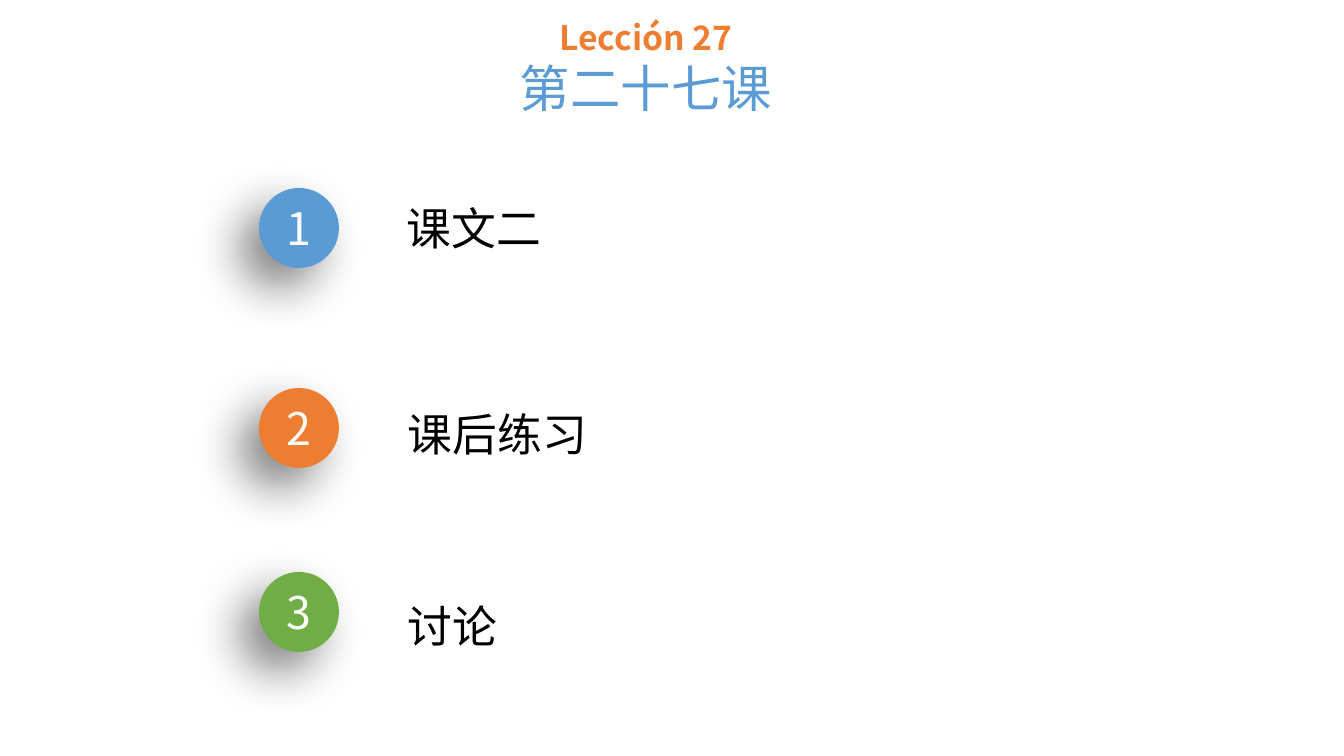
from lxml import etree
from pptx import Presentation
from pptx.dml.color import RGBColor
from pptx.enum.shapes import MSO_SHAPE
from pptx.enum.text import MSO_ANCHOR, PP_ALIGN
from pptx.oxml import parse_xml
from pptx.oxml.ns import qn
from pptx.util import Emu, Pt

OVAL = MSO_SHAPE.OVAL
MIDDLE = MSO_ANCHOR.MIDDLE
LEFT, CENTER = PP_ALIGN.LEFT, PP_ALIGN.CENTER
PX = 914400 / 100.8
NOTO = "Noto Sans CJK SC"
BLUE, ORANGE, GREEN = "5B9BD5", "ED7D31", "70AD47"
SHADOW = """<a:effectLst xmlns:a="http://schemas.openxmlformats.org/drawingml/2006/main">
<a:outerShdw blurRad="444500" dist="254000" dir="8100000" algn="tr" rotWithShape="0">
<a:srgbClr val="000000"><a:alpha val="50000"/></a:srgbClr></a:outerShdw></a:effectLst>"""


def px(*nums):
    return [Emu(round(n * PX)) for n in nums]


def write(para, text, size=32, font="Calibri", color="000000", bold=False, align=LEFT):
    para.alignment = align
    run = para.add_run()
    run.text = text
    run.font.size = Pt(size)
    run.font.name = font
    run.font.bold = bold
    run.font.color.rgb = RGBColor.from_string(color)
    etree.SubElement(run.font._element, qn("a:ea")).set("typeface", font)


prs = Presentation()
prs.slide_width, prs.slide_height = px(1344, 756)
slide = prs.slides.add_slide(prs.slide_layouts[6])

title = slide.shapes.add_textbox(*px(156, 12, 980, 112)).text_frame
title.word_wrap = True
write(title.paragraphs[0], "Lección 27", size=24, font=NOTO, color=ORANGE, bold=True, align=CENTER)
write(title.add_paragraph(), "第二十七课", size=36, font="Arial", color=BLUE, align=CENTER)

items = [
    ("课文二", BLUE, 188, 397, 196, 532),
    ("课后练习", ORANGE, 388, 398, 402, 202),
    ("讨论", GREEN, 572, 398, 594, 111),
]
for num, (label, color, top, left, line, width) in enumerate(items, 1):
    disc = slide.shapes.add_shape(OVAL, *px(259, top, 80, 80))
    disc.fill.solid()
    disc.fill.fore_color.rgb = RGBColor.from_string(color)
    disc.line.fill.background()
    disc._element.spPr.append(parse_xml(SHADOW))
    disc.text_frame.vertical_anchor = MIDDLE
    write(disc.text_frame.paragraphs[0], str(num), font=NOTO, color="FCFCFC", align=CENTER)
    box = slide.shapes.add_textbox(*px(left, line, width, 64)).text_frame
    box.word_wrap = True
    write(box.paragraphs[0], label)
prs.save("out.pptx")
